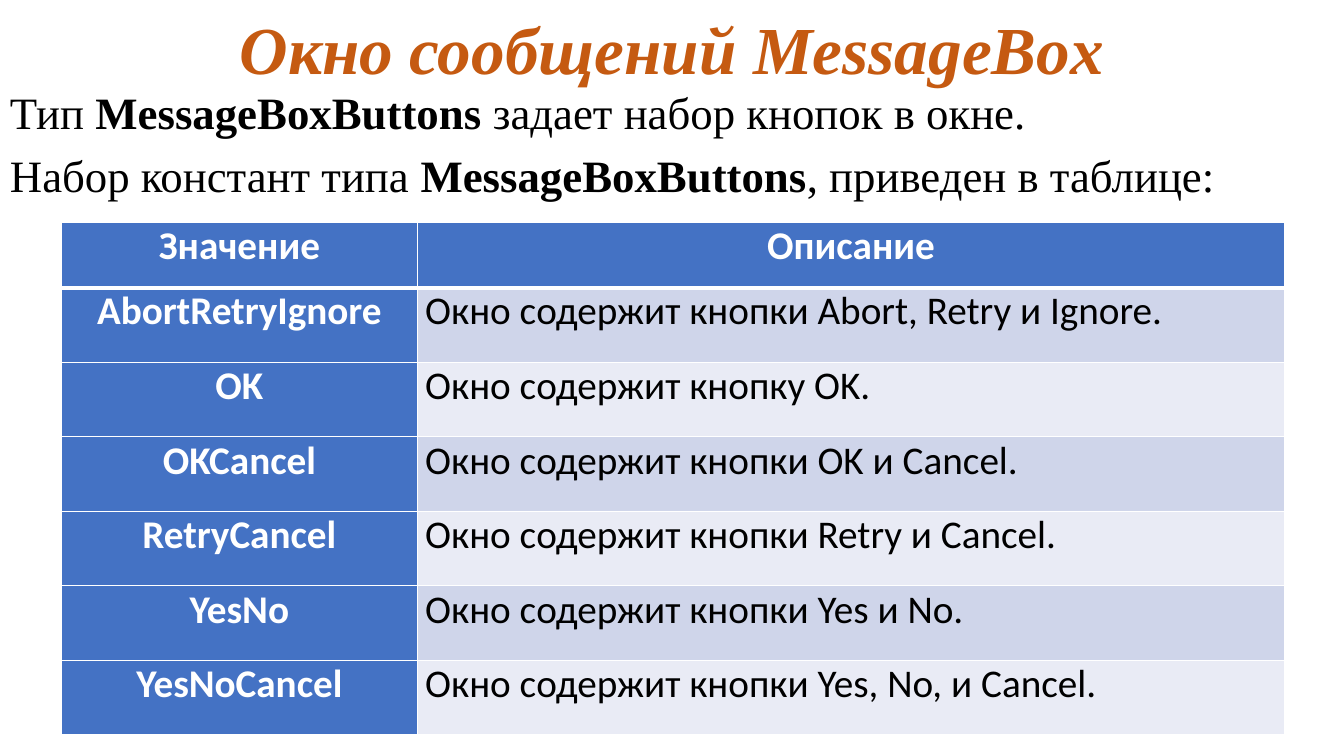
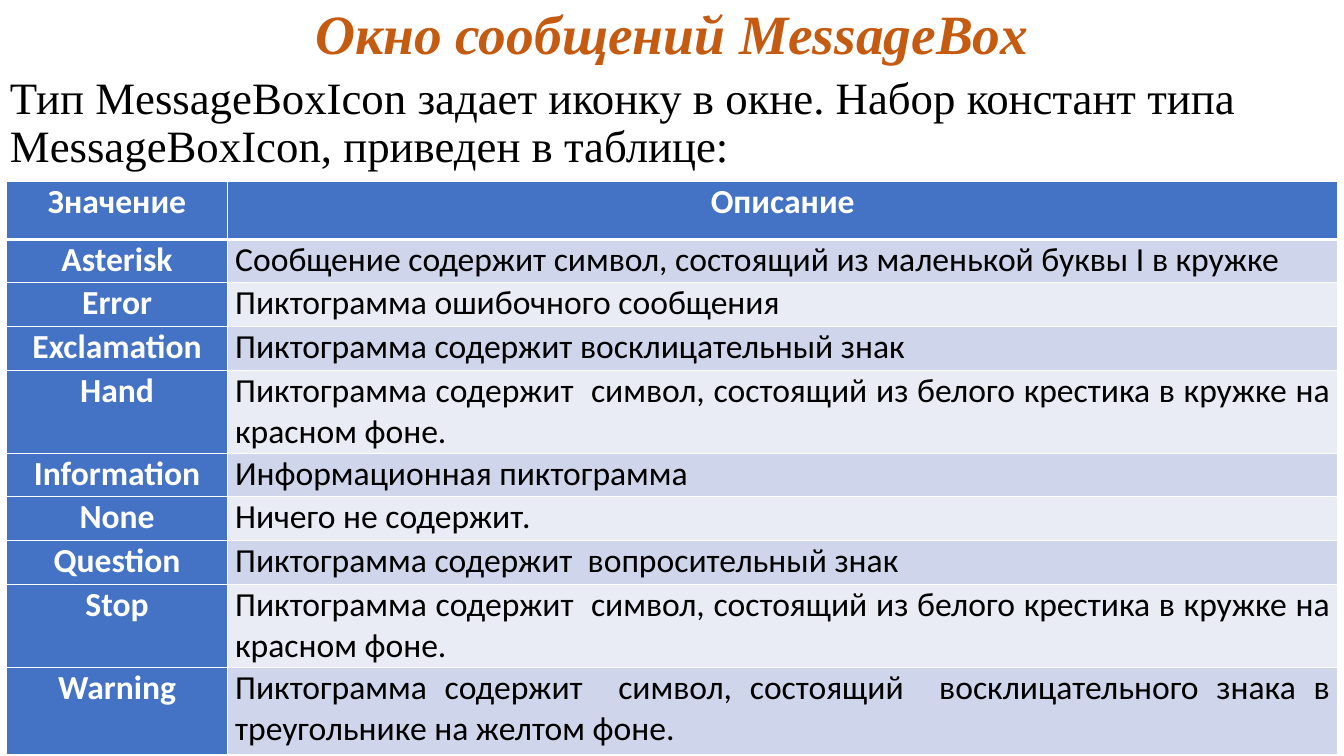
"""Build two slides on the MessageBox window: its button sets and its icons."""
import pptx
import pptx.dml.color
import pptx.enum.text
import pptx.oxml.ns
import pptx.util
from lxml import etree

PX = 9525
ORANGE = pptx.dml.color.RGBColor(0xC5, 0x5A, 0x11)
BLUE = pptx.dml.color.RGBColor(0x44, 0x72, 0xC4)
BAND_DARK = pptx.dml.color.RGBColor(0xCF, 0xD5, 0xEA)
BAND_LIGHT = pptx.dml.color.RGBColor(0xE9, 0xEB, 0xF5)
WHITE = pptx.dml.color.RGBColor(0xFF, 0xFF, 0xFF)
BLACK = pptx.dml.color.RGBColor(0, 0, 0)
SERIF, SANS = "Times New Roman", "Calibri"
ALIGN = pptx.enum.text.PP_ALIGN
ANCHOR = pptx.enum.text.MSO_ANCHOR
TITLE = "Окно сообщений MessageBox"
HEADER = ("Значение", "Описание")


def write(frame, text, *, size, font, color=BLACK, bold=False, italic=False,
          align=ALIGN.LEFT, line_spacing=1.0, space_before=0):
    """Fill a text frame: one paragraph per line, text between ** marks in bold."""
    frame.word_wrap = True
    for line_number, line in enumerate(text.split("\n")):
        paragraph = frame.paragraphs[0] if line_number == 0 else frame.add_paragraph()
        paragraph.alignment = align
        paragraph.line_spacing = line_spacing
        paragraph.space_before = pptx.util.Pt(space_before if line_number else 0)
        for part_number, part in enumerate(line.split("**")):
            run = paragraph.add_run()
            run.text = part
            run.font.size = pptx.util.Pt(size)
            run.font.name = font
            run.font.color.rgb = color
            run.font.bold = bold or part_number % 2 == 1
            run.font.italic = italic


def set_borders(cell, **widths):
    """Draw white cell borders; widths are points by side: L, R, T, B."""
    properties = cell._tc.get_or_add_tcPr()
    for side, width in widths.items():
        line = etree.SubElement(properties, pptx.oxml.ns.qn(f"a:ln{side}"),
                                w=str(pptx.util.Pt(width)))
        fill = etree.SubElement(line, pptx.oxml.ns.qn("a:solidFill"))
        etree.SubElement(fill, pptx.oxml.ns.qn("a:srgbClr"), val=str(WHITE))


topics = [
    {
        "title_box": (0, 2, 1280, 97),
        "title_size": 48,
        "intro_box": (0, 82, 1280, 118),
        "intro": "Тип **MessageBoxButtons** задает набор кнопок в окне.\n"
                 "Набор констант типа **MessageBoxButtons**, приведен в таблице:",
        "table_corner": (58, 212),
        "table_size": 28,
        "columns": (340, 825),
        "heights": [62] + [71] * 6,
        "constants": [
            ("AbortRetryIgnore", "Окно содержит кнопки Abort, Retry и Ignore."),
            ("OK", "Окно содержит кнопку OK."),
            ("OKCancel", "Окно содержит кнопки OK и Cancel."),
            ("RetryCancel", "Окно содержит кнопки Retry и Cancel."),
            ("YesNo", "Окно содержит кнопки Yes и No."),
            ("YesNoCancel", "Окно содержит кнопки Yes, No, и Cancel."),
        ],
    },
    {
        "title_box": (0, 1, 1280, 67),
        "title_size": 39.6,
        "intro_box": (0, 67, 1268, 106),
        "intro": "Тип MessageBoxIcon задает иконку в окне. Набор констант типа "
                 "MessageBoxIcon, приведен в таблице:",
        "table_corner": (6, 173),
        "table_size": 24,
        "columns": (211, 1057),
        "heights": [55, 41, 42, 42, 79, 41, 42, 42, 79, 83],
        "constants": [
            ("Asterisk", "Сообщение содержит символ, состоящий из маленькой буквы I в кружке"),
            ("Error", "Пиктограмма ошибочного сообщения"),
            ("Exclamation", "Пиктограмма содержит восклицательный знак"),
            ("Hand", "Пиктограмма содержит  символ, состоящий из белого крестика "
                     "в кружке на красном фоне."),
            ("Information", "Информационная пиктограмма"),
            ("None", "Ничего не содержит."),
            ("Question", "Пиктограмма содержит  вопросительный знак"),
            ("Stop", "Пиктограмма содержит  символ, состоящий из белого крестика "
                     "в кружке на красном фоне."),
            ("Warning", "Пиктограмма содержит  символ, состоящий  восклицательного знака "
                        "в треугольнике на желтом фоне."),
        ],
    },
]

deck = pptx.Presentation()
deck.slide_width, deck.slide_height = 1280 * PX, 720 * PX

for topic in topics:
    slide = deck.slides.add_slide(deck.slide_layouts[6])

    title = slide.shapes.add_textbox(*(length * PX for length in topic["title_box"]))
    title.text_frame.vertical_anchor = ANCHOR.MIDDLE
    write(title.text_frame, TITLE, size=topic["title_size"], font=SERIF, color=ORANGE,
          bold=True, italic=True, align=ALIGN.CENTER, line_spacing=0.9)

    intro = slide.shapes.add_textbox(*(length * PX for length in topic["intro_box"]))
    write(intro.text_frame, topic["intro"], size=32, font=SERIF,
          line_spacing=0.9, space_before=10)

    rows = [HEADER] + topic["constants"]
    left, top = topic["table_corner"]
    constants = slide.shapes.add_table(
        len(rows), len(HEADER), left * PX, top * PX,
        sum(topic["columns"]) * PX, sum(topic["heights"]) * PX).table
    for column, width in zip(constants.columns, topic["columns"]):
        column.width = width * PX
    for row, height in zip(constants.rows, topic["heights"]):
        row.height = height * PX

    for row_number, row_texts in enumerate(rows):
        for column_number, text in enumerate(row_texts):
            cell = constants.cell(row_number, column_number)
            heading = row_number == 0 or column_number == 0
            cell.margin_left = cell.margin_right = 7 * PX
            cell.margin_top = cell.margin_bottom = 0
            set_borders(cell, L=1, R=1, T=3 if row_number == 1 else 1,
                        B=3 if row_number == 0 else 1)
            cell.fill.solid()
            band = BAND_DARK if row_number % 2 else BAND_LIGHT
            cell.fill.fore_color.rgb = BLUE if heading else band
            write(cell.text_frame, text, size=topic["table_size"], font=SANS,
                  color=WHITE if heading else BLACK, bold=heading,
                  align=ALIGN.CENTER if heading else ALIGN.JUSTIFY)

deck.save("out.pptx")
